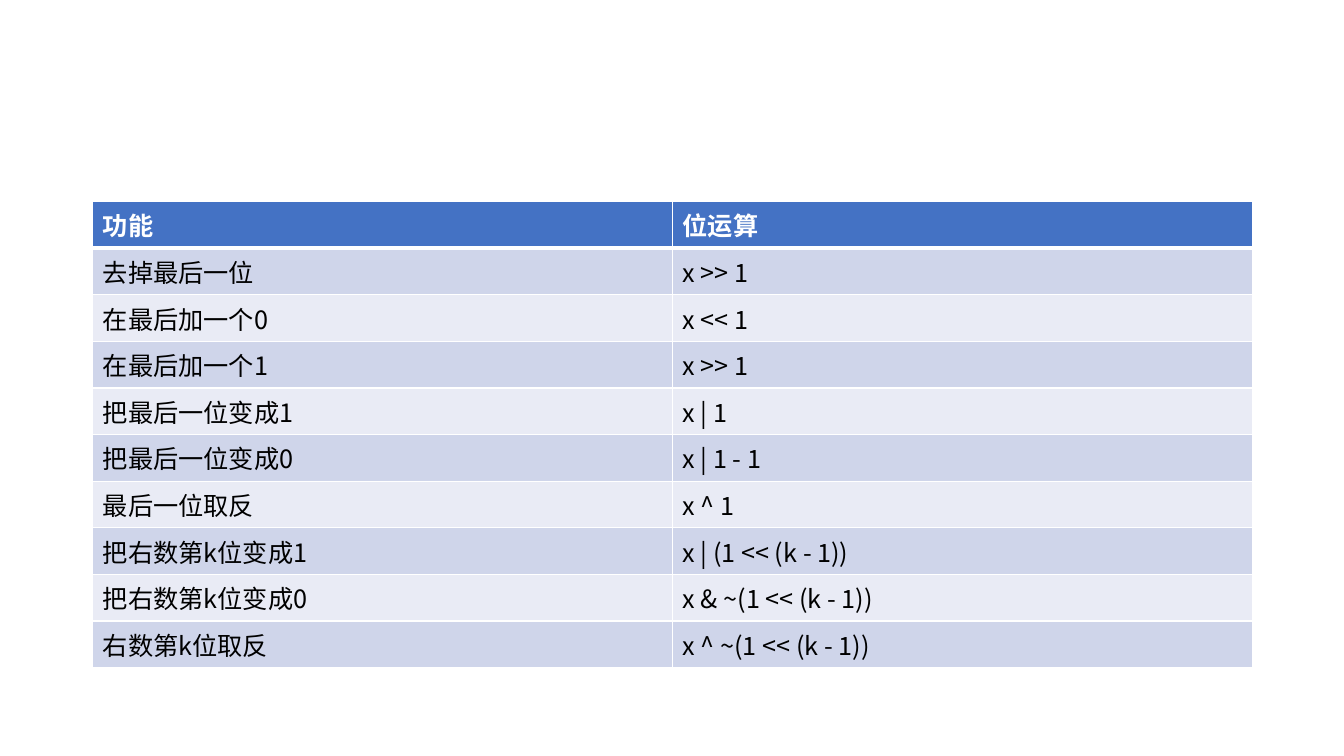
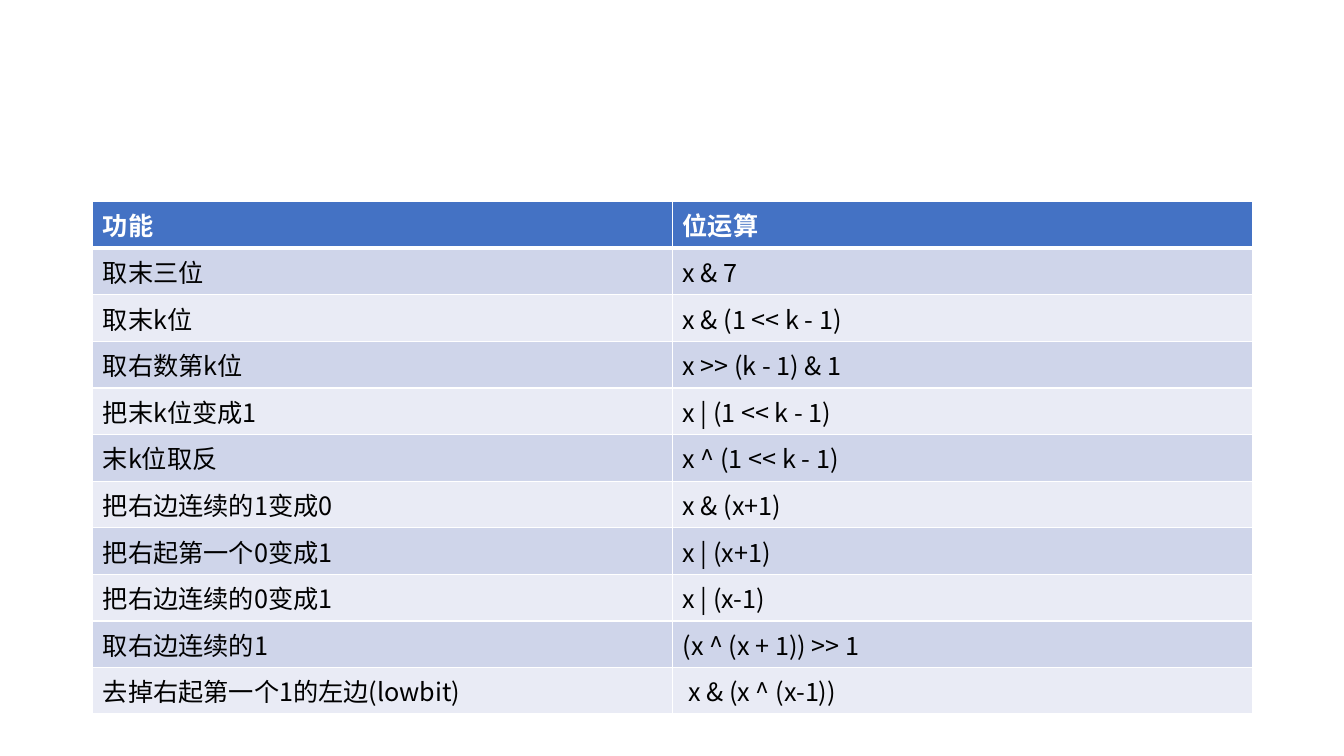
import lxml.etree
import pptx
import pptx.dml.color
import pptx.enum.lang
import pptx.oxml.ns
import pptx.util

Inches = pptx.util.Inches

# Shared style
COLORS = {
    "header": "4472C4",
    "odd_row": "CFD5EA",
    "even_row": "E9EBF5",
    "border": "FFFFFF",
    "header_text": "FFFFFF",
    "body_text": "000000",
}
FONT = "Noto Sans CJK SC"
TABLE_LEFT, TABLE_TOP = 0.92, 2
COLUMN_WIDTH, ROW_HEIGHT = 5.75, 0.41
THIN, THICK = 1, 3

# Table content
HEADER = ("功能", "位运算")
SINGLE_BIT_OPERATIONS = [
    ("去掉最后一位", "x >> 1"),
    ("在最后加一个0", "x << 1"),
    ("在最后加一个1", "x >> 1"),
    ("把最后一位变成1", "x | 1"),
    ("把最后一位变成0", "x | 1 - 1"),
    ("最后一位取反", "x ^ 1"),
    ("把右数第k位变成1", "x | (1 << (k - 1))"),
    ("把右数第k位变成0", "x & ~(1 << (k - 1))"),
    ("右数第k位取反", "x ^ ~(1 << (k - 1))"),
]
BIT_RANGE_OPERATIONS = [
    ("取末三位", "x & 7"),
    ("取末k位", "x & (1 << k - 1)"),
    ("取右数第k位", "x >> (k - 1) & 1"),
    ("把末k位变成1", "x | (1 << k - 1)"),
    ("末k位取反", "x ^ (1 << k - 1)"),
    ("把右边连续的1变成0", "x & (x+1)"),
    ("把右起第一个0变成1", "x | (x+1)"),
    ("把右边连续的0变成1", "x | (x-1)"),
    ("取右边连续的1", "(x ^ (x + 1)) >> 1"),
    ("去掉右起第一个1的左边(lowbit)", " x & (x ^ (x-1))"),
]


def rgb(name):
    return pptx.dml.color.RGBColor.from_string(COLORS[name])


def add_element(parent, tag, **attributes):
    return lxml.etree.SubElement(parent, pptx.oxml.ns.qn(tag), **attributes)


def write_text(text_frame, text, size=18, color="body_text", bold=False):
    run = text_frame.paragraphs[0].add_run()
    run.text = text
    font = run.font
    font.size = pptx.util.Pt(size)
    font.bold = bold
    font.color.rgb = rgb(color)
    font.name = FONT
    font.language_id = pptx.enum.lang.MSO_LANGUAGE_ID.SIMPLIFIED_CHINESE
    # East Asian typeface
    add_element(font._element, "a:ea", typeface=FONT)


def set_borders(cell, top=THIN, bottom=THIN):
    properties = cell._tc.get_or_add_tcPr()
    widths = {"a:lnL": THIN, "a:lnR": THIN, "a:lnT": top, "a:lnB": bottom}
    for tag, width in widths.items():
        line = add_element(properties, tag, w=str(pptx.util.Pt(width)))
        fill = add_element(line, "a:solidFill")
        add_element(fill, "a:srgbClr", val=COLORS["border"])


def format_cell(cell, text, row_index):
    is_header = row_index == 0
    set_borders(
        cell,
        top=THICK if row_index == 1 else THIN,
        bottom=THICK if is_header else THIN,
    )
    band = "odd_row" if row_index % 2 else "even_row"
    cell.fill.solid()
    cell.fill.fore_color.rgb = rgb("header" if is_header else band)
    write_text(
        cell.text_frame,
        text,
        color="header_text" if is_header else "body_text",
        bold=is_header,
    )


def add_operations_table(slide, operations):
    rows = [HEADER, *operations]
    table = slide.shapes.add_table(
        len(rows), len(HEADER),
        Inches(TABLE_LEFT), Inches(TABLE_TOP),
        Inches(COLUMN_WIDTH * len(HEADER)), Inches(ROW_HEIGHT * len(rows)),
    ).table
    for column in table.columns:
        column.width = Inches(COLUMN_WIDTH)
    for row_index, texts in enumerate(rows):
        table.rows[row_index].height = Inches(ROW_HEIGHT)
        for column_index, text in enumerate(texts):
            format_cell(table.cell(row_index, column_index), text, row_index)


def main():
    presentation = pptx.Presentation()
    presentation.slide_width = Inches(13.33)
    presentation.slide_height = Inches(7.5)
    blank_layout = presentation.slide_layouts[6]

    # One table per slide
    for operations in (SINGLE_BIT_OPERATIONS, BIT_RANGE_OPERATIONS):
        slide = presentation.slides.add_slide(blank_layout)
        add_operations_table(slide, operations)

    presentation.save("out.pptx")


if __name__ == "__main__":
    main()
